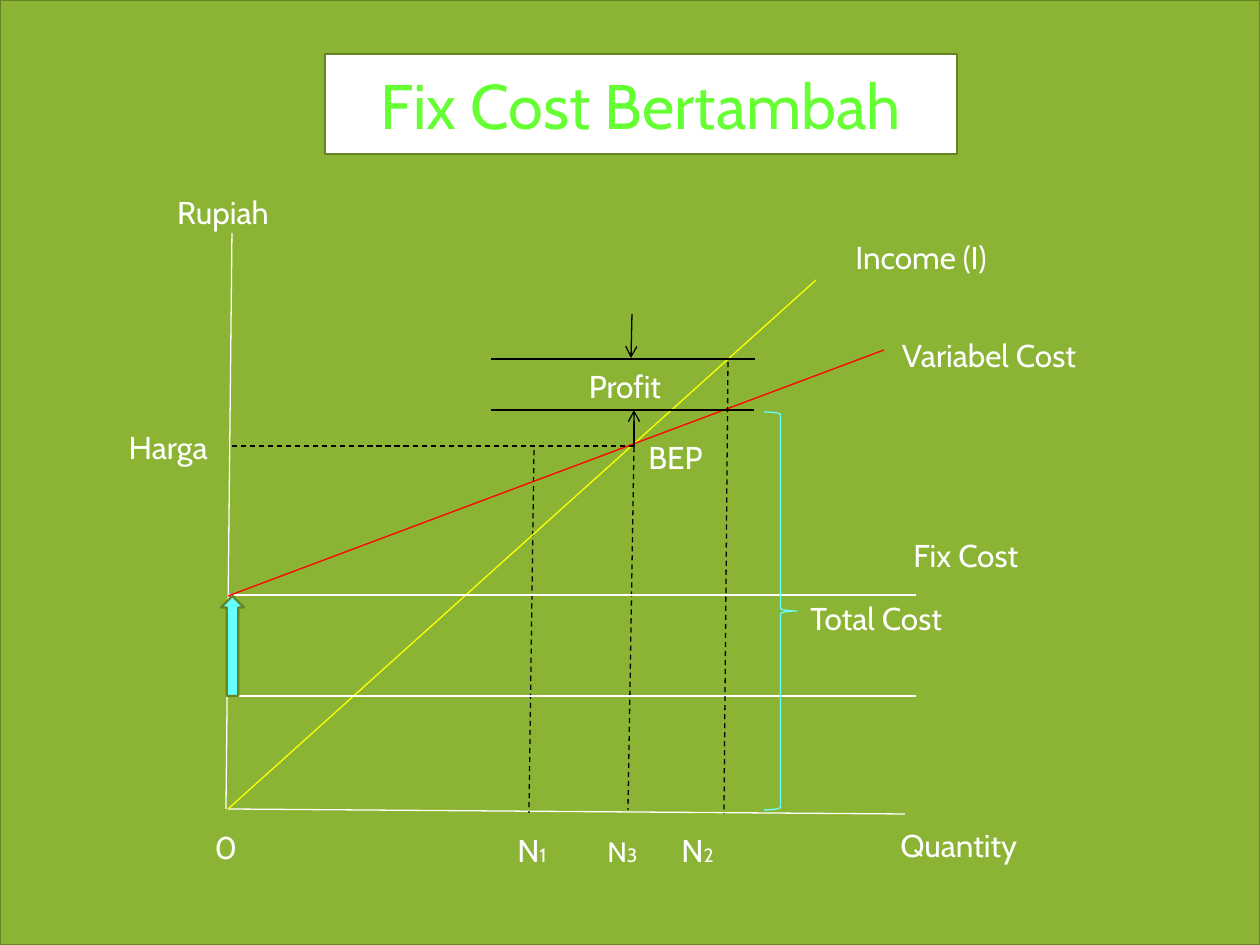
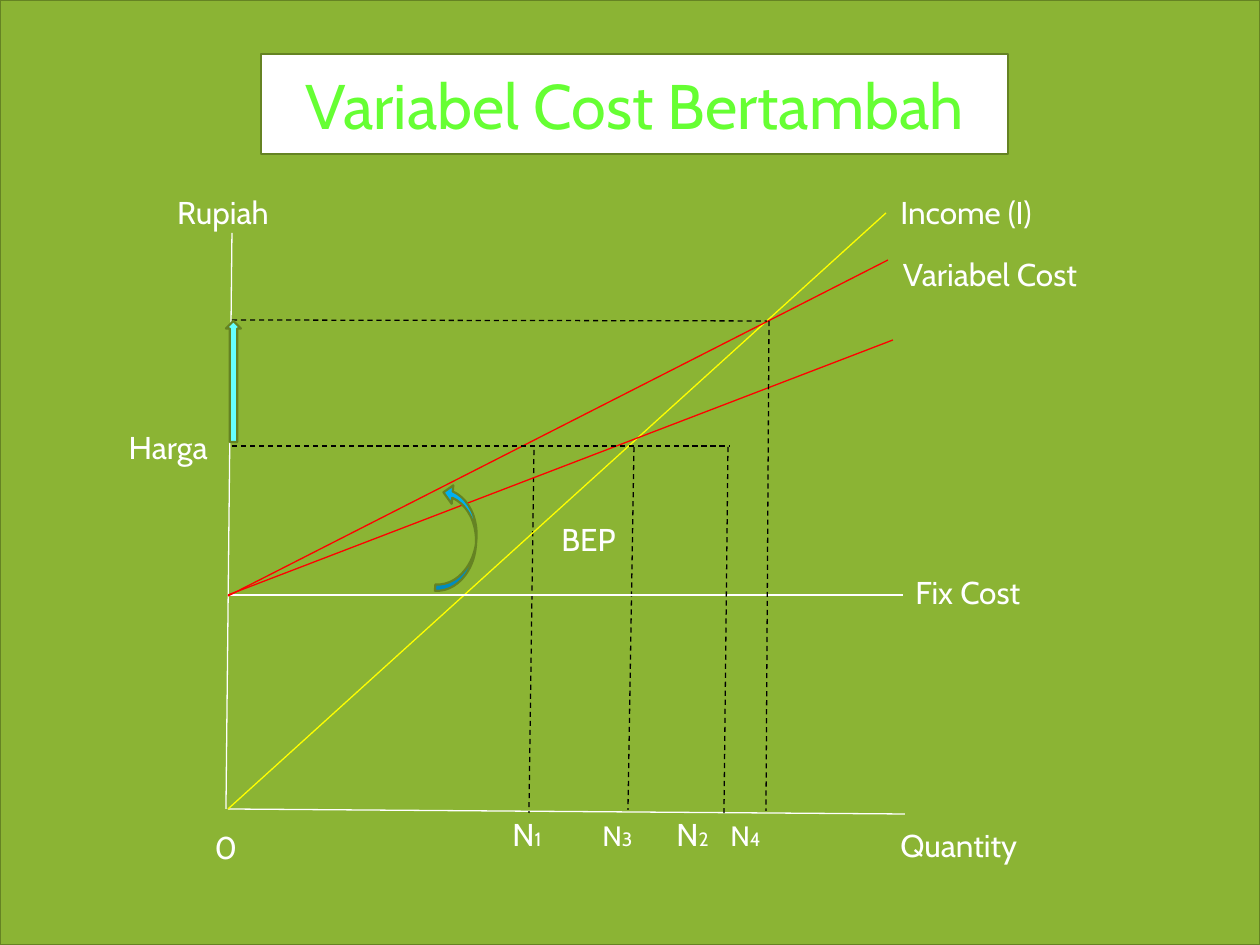
from lxml import etree
from pptx import Presentation
from pptx.dml.color import RGBColor
from pptx.enum.dml import MSO_LINE
from pptx.enum.shapes import MSO_CONNECTOR, MSO_SHAPE
from pptx.enum.text import MSO_ANCHOR, MSO_AUTO_SIZE, PP_ALIGN
from pptx.oxml.ns import qn
from pptx.util import Emu, Pt

LEFT, CENTER, RIGHT = PP_ALIGN.LEFT, PP_ALIGN.CENTER, PP_ALIGN.RIGHT
DASH = MSO_LINE.DASH
STRAIGHT = MSO_CONNECTOR.STRAIGHT
RECT, UP_ARROW = MSO_SHAPE.RECTANGLE, MSO_SHAPE.UP_ARROW
BRACE, CURVED_ARROW = MSO_SHAPE.RIGHT_BRACE, MSO_SHAPE.CURVED_UP_ARROW

# Shared look
PX = 914400 / 126
FONT = "Cabin"
GREEN, OUTLINE, WHITE, BLACK = "8BB434", "658323", "FFFFFF", "000000"
TITLE_COLOR, CYAN, BLUE = "66FF33", "66FFFF", "00B0F0"
TICK_STOPS = (90, 164, 218)
LINE_STYLES = {  # colour, dashed, arrowhead
    "axis": (WHITE, False, False),
    "income": ("FFFF00", False, False),
    "cost": ("FF0000", False, False),
    "guide": (BLACK, True, False),
    "level": (BLACK, False, False),
    "pointer": (BLACK, False, True),
}

# Content on both slides: lines are (style, x1, y1, x2, y2)
AXES = [
    ("axis", 232, 233, 226, 809),
    ("axis", 228, 809, 905, 814),
    ("guide", 634, 447, 628, 810),
    ("guide", 534, 450, 529, 813),
]
# Labels are (text, x, y, width, alignment)
AXIS_LABELS = [
    ("Rupiah", 96, 192, 254, CENTER),
    ("Harga", 86, 427, 134, RIGHT),
    ("0", 99, 827, 254, CENTER),
    ("Quantity", 888, 825, 254, LEFT),
]
# Ticks are (digit, size of the N)
TICKS = [("1", 18), ("3", 16), ("2", 18), ("4", 16)]

# Shapes are (preset, x, y, width, height, fill, line, line width, rotation, adjustments)
SLIDES = [
    {
        "title": ("Fix Cost Bertambah", 325, 632),
        "lines": [
            ("income", 228, 809, 816, 280),
            ("axis", 229, 595, 916, 595),
            ("axis", 229, 696, 916, 696),
            ("cost", 228, 596, 884, 350),
            ("guide", 728, 362, 724, 814),
            ("guide", 232, 446, 634, 446),
            ("level", 491, 410, 754, 410),
            ("level", 491, 359, 755, 359),
            ("pointer", 632, 314, 631, 358),
            ("pointer", 634, 447, 634, 410),
        ],
        "labels": [
            ("Income (I)", 805, 237, 232, CENTER),
            ("Variabel Cost", 862, 335, 254, CENTER),
            ("BEP", 636, 437, 254, LEFT),
            ("Fix Cost", 901, 535, 254, LEFT),
            ("Profit", 498, 366, 254, CENTER),
            ("Total Cost", 798, 598, 254, LEFT),
        ],
        "ticks": (505, 831, 3),
        "shapes": [
            (BRACE, 764, 412, 33, 398, None, CYAN, 0.75, 0, ()),
            (UP_ARROW, 221, 596, 23, 100, CYAN, OUTLINE, 1.25, 0, ()),
        ],
    },
    {
        "title": ("Variabel Cost Bertambah", 261, 747),
        "lines": [
            ("income", 228, 809, 886, 213),
            ("axis", 229, 595, 903, 595),
            ("cost", 228, 596, 888, 260),
            ("cost", 228, 595, 893, 340),
            ("guide", 728, 447, 724, 814),
            ("guide", 232, 446, 730, 446),
            ("guide", 769, 321, 766, 811),
            ("guide", 232, 320, 767, 321),
        ],
        "labels": [
            ("Income (I)", 850, 192, 232, CENTER),
            ("Variabel Cost", 863, 254, 254, CENTER),
            ("BEP", 549, 519, 254, LEFT),
            ("Fix Cost", 903, 572, 254, LEFT),
        ],
        "ticks": (500, 815, 4),
        "shapes": [
            (CURVED_ARROW, 404, 520, 108, 37, BLUE, OUTLINE, 1.25, 275, (0.17, 0.5, 0.25)),
            (UP_ARROW, 226, 321, 15, 121, CYAN, OUTLINE, 1.25, 0, ()),
        ],
    },
]


def px(*values):
    return [Emu(round(v * PX)) for v in values]


def rgb(value):
    return RGBColor.from_string(value)


def style_runs(p, size, color):
    for r in p.runs:
        r.font.size, r.font.name = Pt(size), FONT
        r.font.color.rgb = rgb(color)


def paint(sp, fill, line, width):
    if fill:
        sp.fill.solid()
        sp.fill.fore_color.rgb = rgb(fill)
    else:
        sp.fill.background()
    sp.line.color.rgb = rgb(line)
    sp.line.width = Pt(width)


def add_preset(slide, preset, x, y, w, h, fill, line, width, rotation=0, adjustments=()):
    sp = slide.shapes.add_shape(preset, *px(x, y, w, h))
    sp.shadow.inherit = False
    paint(sp, fill, line, width)
    sp.rotation = rotation
    for i, value in enumerate(adjustments):
        sp.adjustments[i] = value
    return sp


def add_line(slide, style, x1, y1, x2, y2):
    color, dashed, arrow = LINE_STYLES[style]
    cx = slide.shapes.add_connector(STRAIGHT, *px(x1, y1, x2, y2))
    cx.line.color.rgb = rgb(color)
    cx.line.width = Pt(0.75)
    if dashed:
        cx.line.dash_style = DASH
    sp_pr = cx.element.spPr
    if arrow:
        etree.SubElement(sp_pr.find(qn("a:ln")), qn("a:tailEnd"), type="arrow")
    etree.SubElement(sp_pr, qn("a:effectLst"))


def add_box(slide, x, y, w, h=40):
    tf = slide.shapes.add_textbox(*px(x, y, w, h)).text_frame
    tf.word_wrap = True
    tf.vertical_anchor = MSO_ANCHOR.MIDDLE
    return tf.paragraphs[0]


def add_label(slide, text, x, y, w, align):
    p = add_box(slide, x, y, w)
    p.text = text
    p.alignment = align
    style_runs(p, 18, WHITE)


def add_ticks(slide, x, y, count):
    """Write the N labels in one line, spaced by tab stops."""
    p = add_box(slide, x, y, 316, 37)
    tabs = etree.SubElement(p._p.get_or_add_pPr(), qn("a:tabLst"))
    for stop in px(*TICK_STOPS):
        etree.SubElement(tabs, qn("a:tab"), pos=str(stop), algn="l")
    for i, (digit, size) in enumerate(TICKS[:count]):
        p.add_run().text = "\tN" if i else "N"
        p.add_run().text = digit
    style_runs(p, 11, WHITE)
    for r, (_, size) in zip(p.runs[::2], TICKS):
        r.font.size = Pt(size)


def set_title(slide, text, x, w):
    title = slide.shapes.title
    title.left, title.top, title.width, title.height = px(x, 54, w, 100)
    paint(title, WHITE, OUTLINE, 1.25)
    tf = title.text_frame
    tf.text = text
    tf.word_wrap = True
    tf.auto_size = MSO_AUTO_SIZE.NONE
    tf.vertical_anchor = MSO_ANCHOR.MIDDLE
    tf.paragraphs[0].alignment = CENTER
    style_runs(tf.paragraphs[0], 36, TITLE_COLOR)


def build_slide(prs, content):
    slide = prs.slides.add_slide(prs.slide_layouts[5])
    # Green field behind the title
    field = add_preset(slide, RECT, 0, 0, 1260, 945, GREEN, OUTLINE, 1.25)
    slide.shapes.title.element.addprevious(field.element)
    set_title(slide, *content["title"])
    # Break-even diagram
    for line in AXES + content["lines"]:
        add_line(slide, *line)
    for label in AXIS_LABELS + content["labels"]:
        add_label(slide, *label)
    add_ticks(slide, *content["ticks"])
    for shape in content["shapes"]:
        add_preset(slide, *shape)


def main():
    prs = Presentation()
    prs.slide_width, prs.slide_height = px(1260, 945)
    for content in SLIDES:
        build_slide(prs, content)
    prs.save("out.pptx")


if __name__ == "__main__":
    main()
